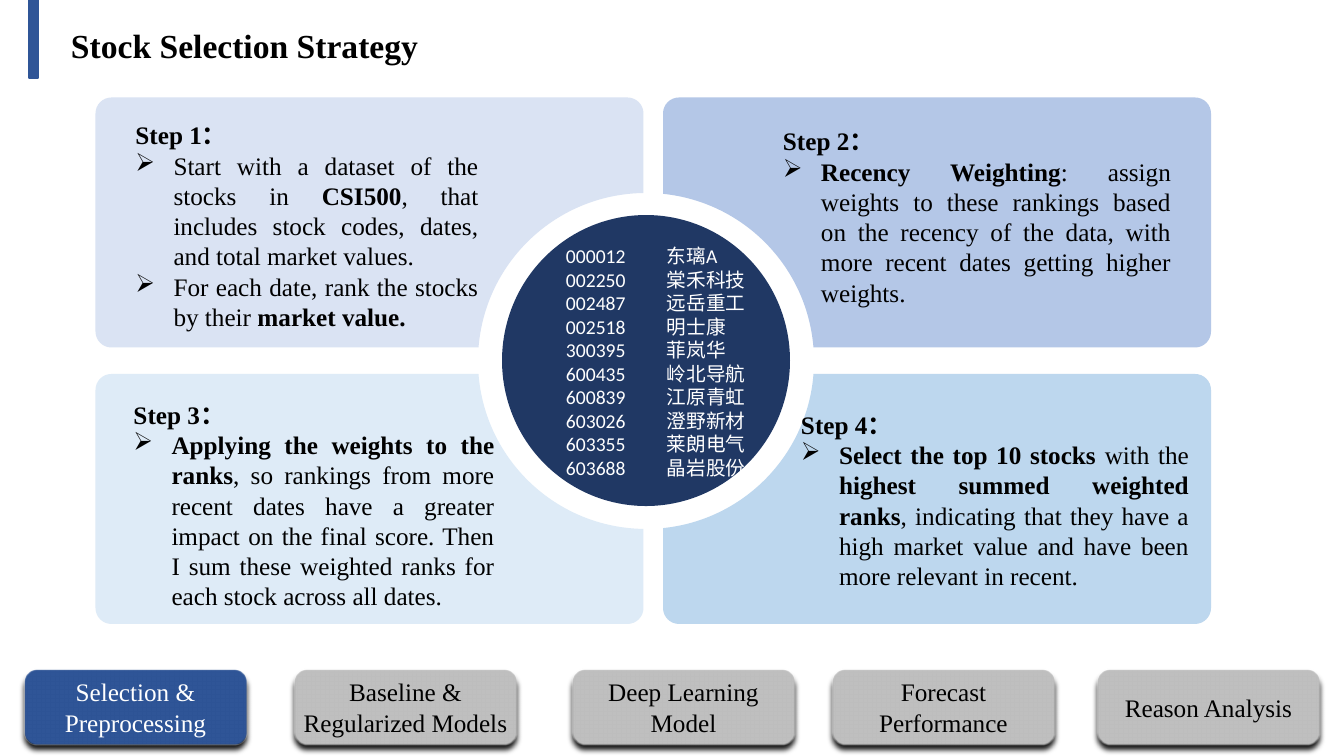
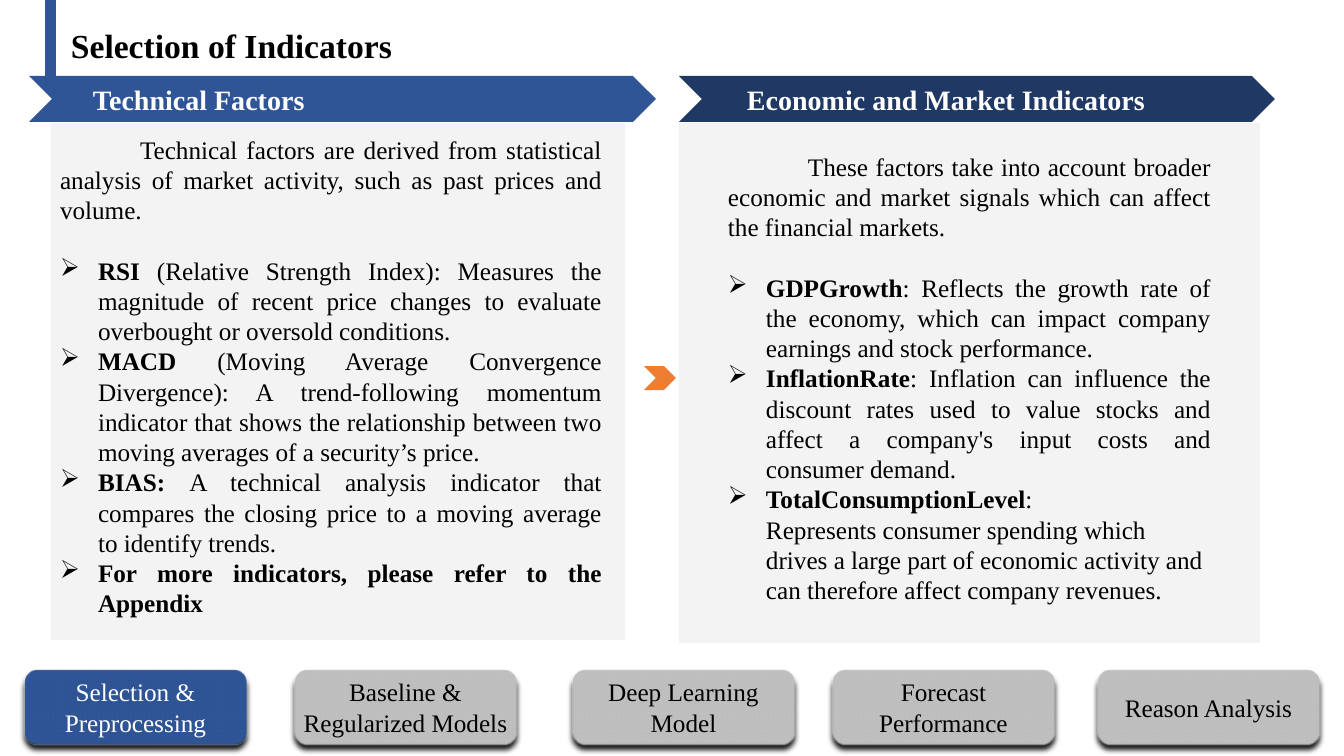
import math
from dataclasses import dataclass
from lxml import etree
from pptx import Presentation
from pptx.dml import color
from pptx.enum import shapes, text
from pptx.oxml import ns
from pptx import util as u

PX = 914400 / 100.8  # EMU in one px
LEFT, CENTER, JUSTIFY = text.PP_ALIGN.LEFT, text.PP_ALIGN.CENTER, text.PP_ALIGN.JUSTIFY
SHAPE = shapes.MSO_SHAPE


@dataclass(frozen=True)
class Theme:
    serif: str = "Times New Roman"
    sans: str = "Calibri"
    title: int = 24
    banner: int = 20
    body: int = 18
    small: int = 14
    black: str = "000000"
    white: str = "FFFFFF"
    blue: str = "2F5597"
    navy: str = "203864"
    orange: str = "ED7D31"
    grey: str = "BFBFBF"
    panel: str = "E7E6E6"
    steps: tuple = ("DAE3F3", "B4C7E7", "DEEBF7", "BDD7EE")


T = Theme()


def emu(n):
    return u.Emu(round(n * PX))


def rgb(value):
    return color.RGBColor.from_string(value)


def sub(parent, tag, **attrs):
    node = etree.SubElement(parent, ns.qn(tag))
    for key, value in attrs.items():
        node.set(key, str(value))
    return node


def add_text(tf, content, size=T.body, ink=T.black, font=T.serif, bold=False, align=LEFT,
             bullet=False, margin=0, indent=0, tab=None, line=None, after=0):
    """Add one paragraph; pieces between ** marks are bold."""
    p = tf.paragraphs[0]
    if p.runs:
        p = tf.add_paragraph()
    if bullet:
        margin, indent = 38, -38
    pPr = p._p.get_or_add_pPr()
    pPr.set("marL", str(emu(margin)))
    pPr.set("indent", str(emu(indent)))
    if bullet:
        # Wingdings draws this letter as an arrowhead
        sub(pPr, "a:buFont", typeface="Wingdings", pitchFamily=2, charset=2)
        sub(pPr, "a:buChar", char="Ø")
    else:
        sub(pPr, "a:buNone")
    if tab:
        sub(sub(pPr, "a:tabLst"), "a:tab", pos=emu(tab), algn="l")
    p.alignment = align
    p.space_before, p.space_after = u.Pt(0), u.Pt(after)
    if line:
        p.line_spacing = line
    for i, piece in enumerate(content.split("**")):
        if piece:
            r = p.add_run()
            r.text = piece
            r.font.name, r.font.size = font, u.Pt(size)
            r.font.bold = bold or i % 2 == 1
            r.font.color.rgb = rgb(ink)


def set_frame(tf, wrap=True, anchor=text.MSO_ANCHOR.TOP, side=10):
    tf.word_wrap = wrap
    tf.auto_size = text.MSO_AUTO_SIZE.NONE
    tf.vertical_anchor = anchor
    tf.margin_left = tf.margin_right = emu(side)
    tf.margin_top = tf.margin_bottom = emu(5)
    return tf


def add_box(s, x, y, w, h):
    return set_frame(s.shapes.add_textbox(*map(emu, (x, y, w, h))).text_frame)


def use_placeholder(s, idx, x, y, w, h):
    """Place a placeholder in front of what is already drawn."""
    sp = next(ph for ph in s.placeholders if ph.placeholder_format.idx == idx)
    sp.left, sp.top, sp.width, sp.height = map(emu, (x, y, w, h))
    sp.element.getparent().append(sp.element)
    return set_frame(sp.text_frame)


def paint(sp, fill, line=None):
    sp.shadow.inherit = False
    sp.fill.solid()
    sp.fill.fore_color.rgb = rgb(fill)
    if line:
        sp.line.color.rgb = rgb(line)
        sp.line.width = u.Pt(1)
    else:
        sp.line.fill.background()
    return sp


def add_shape(s, kind, x, y, w, h, fill, line=None):
    return paint(s.shapes.add_shape(kind, *map(emu, (x, y, w, h))), fill, line)


# Shared parts: title with accent bar, and the progress footer
def add_header(s, title, bar_x):
    add_shape(s, SHAPE.RECTANGLE, bar_x, 0, 9, 78, T.blue, T.blue)
    add_text(use_placeholder(s, 0, 61, 20, 676, 50), title, size=T.title, bold=True)


STAGES = ((24, ("Selection &", "Preprocessing")),
          (294, ("Baseline & Regularized Models",)),
          (572, ("Deep Learning Model",)),
          (832, ("Forecast Performance",)),
          (1097, ("Reason Analysis",)))


def add_footer(s, active=0):
    for i, (x, lines) in enumerate(STAGES):
        fill, ink = (T.blue, T.white) if i == active else (T.grey, T.black)
        sp = add_shape(s, SHAPE.ROUNDED_RECTANGLE, x, 669, 223, 76, fill, T.white)
        effects = sp._element.spPr.find(ns.qn("a:effectLst"))
        shadow = sub(effects, "a:outerShdw", blurRad=u.Pt(4), dist=u.Pt(4),
                     dir=5400000, algn="t", rotWithShape=0)
        sub(sub(shadow, "a:srgbClr", val=T.black), "a:alpha", val=93000)
        sub(effects, "a:softEdge", rad=u.Pt(1))
        tf = set_frame(sp.text_frame, anchor=text.MSO_ANCHOR.MIDDLE, side=2)
        for line in lines:
            add_text(tf, line, ink=ink, align=CENTER)


# Stock selection slide
HUB = (646, 361)
HUB_GAP = 168  # radius of the cut around the hub
STEP_W, STEP_H = 548, 250

# Placeholder, panel corner, text offset and size, heading, bullets
STEPS = (
    (1, (95.5, 97.5), (30, -13, 363, 254), "Step 1：",
     ("Start with a dataset of the stocks in **CSI500**, that includes stock codes, "
      "dates, and total market values.",
      "For each date, rank the stocks by their **market value.**")),
    (2, (663, 97.5), (110, -7, 408, 224), "Step 2：",
     ("**Recency Weighting**: assign weights to these rankings based on the recency of "
      "the data, with more recent dates getting higher weights.",)),
    (3, (95.5, 374), (28, -10, 381, 285), "Step 3：",
     ("**Applying the weights to the ranks**, so rankings from more recent dates have a "
      "greater impact on the final score. Then I sum these weighted ranks for each "
      "stock across all dates.",)),
    (4, (663, 374), (128, 0, 408, 224), "Step 4：",
     ("**Select the top 10 stocks **with the **highest summed weighted ranks**, "
      "indicating that they have a high market value and have been more relevant "
      "in recent.",)),
)

STOCKS = (("000012", "东璃A"), ("002250", "棠禾科技"), ("002487", "远岳重工"),
          ("002518", "明士康"), ("300395", "菲岚华"), ("600435", "岭北导航"),
          ("600839", "江原青虹"), ("603026", "澄野新材"), ("603355", "莱朗电气"),
          ("603688", "晶岩股份"))


def arc(cx, cy, radius, start, end):
    """Start, two control points and end of one Bézier arc."""
    k = 4 / 3 * math.tan((end - start) / 4)
    c0, s0, c1, s1 = math.cos(start), math.sin(start), math.cos(end), math.sin(end)
    units = ((c0, s0), (c0 - k * s0, s0 + k * c0), (c1 + k * s1, s1 - k * c1), (c1, s1))
    return [(cx + radius * a, cy + radius * b) for a, b in units]


def bend(sp):
    """Turn every three segments after an arc's start into one curve."""
    outline = next(sp._element.iter(ns.qn("a:path")))
    steps = [node for node in outline if node.tag != ns.qn("a:close")]
    for i in range(0, len(steps), 4):
        curve = etree.Element(ns.qn("a:cubicBezTo"))
        steps[i].addnext(curve)
        for node in steps[i + 1:i + 4]:
            curve.append(node[0])
            outline.remove(node)


def add_step_panel(s, x, y, fill):
    """Rounded panel whose corner nearest the hub is cut by a circle."""
    cx, cy = HUB
    sx = 1 if x + STEP_W / 2 > cx else -1
    sy = 1 if y + STEP_H / 2 > cy else -1
    # Distances from the hub, mirrored into one quadrant
    near_x, far_x = sorted((sx * (x - cx), sx * (x + STEP_W - cx)))
    near_y, far_y = sorted((sy * (y - cy), sy * (y + STEP_H - cy)))
    rad, quarter = 16, math.pi / 2
    points = (arc(0, 0, HUB_GAP, math.acos(near_x / HUB_GAP), math.asin(near_y / HUB_GAP))
              + arc(far_x - rad, near_y + rad, rad, -quarter, 0)
              + arc(far_x - rad, far_y - rad, rad, 0, quarter)
              + arc(near_x + rad, far_y - rad, rad, quarter, 2 * quarter))
    points = [(emu(cx + sx * px), emu(cy + sy * py)) for px, py in points]
    builder = s.shapes.build_freeform(*points[0], scale=1.0)
    builder.add_line_segments(points[1:], close=True)
    bend(paint(builder.convert_to_shape(), fill))


def add_hub(s, x, y, w, h):
    add_shape(s, SHAPE.OVAL, x, y, w, h, T.navy)
    tf = add_box(s, x + 54, y + 24, w - 35, h - 30)
    for code, name in STOCKS:
        add_text(tf, f"{code}\t{name}", size=T.small, ink=T.white, font=T.sans, tab=90)


def stock_slide(prs):
    s = prs.slides.add_slide(prs.slide_layouts.get_by_name("Comparison"))
    add_header(s, "Stock Selection Strategy", 29)
    for (_, corner, *_), fill in zip(STEPS, T.steps):
        add_step_panel(s, *corner, fill)
    add_hub(s, 502, 215, 288, 291)
    for idx, (x, y), (dx, dy, w, h), heading, bullets in STEPS:
        tf = use_placeholder(s, idx, x + dx, y + dy, w, h)
        add_text(tf, heading, bold=True, align=JUSTIFY, line=2.0)
        for item in bullets:
            add_text(tf, item, align=JUSTIFY, bullet=True)
    add_footer(s)


# Indicators slide
TECHNICAL = (
    "Technical factors are derived from statistical analysis of market activity, such as "
    "past prices and volume.",
    "**RSI **(Relative Strength Index): Measures the magnitude of recent price changes to "
    "evaluate overbought or oversold conditions.",
    "**MACD** (Moving Average Convergence Divergence): A trend-following momentum "
    "indicator that shows the relationship between two moving averages of a "
    "security’s price.",
    "**BIAS: **A technical analysis indicator that compares the closing price to a moving "
    "average to identify trends.",
    "**For more indicators, please refer to the Appendix**",
)
ECONOMIC = (
    "These factors take into account broader economic and market signals which can affect "
    "the financial markets.",
    "**GDPGrowth**: Reflects the growth rate of the economy, which can impact company "
    "earnings and stock performance.",
    "**InflationRate**: Inflation can influence the discount rates used to value stocks "
    "and affect a company's input costs and consumer demand.",
    "**TotalConsumptionLevel**:",
)
CONSUMPTION = ("Represents consumer spending which",
               "drives a large part of economic activity and",
               "can therefore affect company revenues.")


def add_column(s, idx, x, y, w, fill, label, label_dx, panel, body, content, closing=()):
    """Grey panel under a chevron banner; panel and body are relative to x, y."""
    dx, panel_w, panel_h = panel
    sp = add_shape(s, SHAPE.RECTANGLE, x + dx, y + 47, panel_w, panel_h, T.panel)
    sub(sp._element.spPr.find(ns.qn("a:solidFill"))[0], "a:alpha", val=45000)
    add_shape(s, SHAPE.CHEVRON, x, y, w, 46, fill)
    add_text(add_box(s, x + label_dx, y + 1, 530, 44), label,
             size=T.banner, ink=T.white, bold=True)
    body_x, body_y, body_w = body
    tf = use_placeholder(s, idx, x + body_x, y + body_y, body_w, 500)
    intro, *items = content
    add_text(tf, intro, align=JUSTIFY, indent=80, after=21.6)
    for item in items:
        add_text(tf, item, align=JUSTIFY, bullet=True)
    for line in closing:
        add_text(tf, line, margin=38)


def indicator_slide(prs):
    s = prs.slides.add_slide(prs.slide_layouts.get_by_name("Two Content"))
    add_header(s, "Selection of Indicators", 46)
    add_column(s, 1, 29, 76, 627, T.blue, "Technical Factors", 54,
               (22, 574, 517), (21, 53, 562), TECHNICAL)
    add_column(s, 2, 679, 76, 596, T.navy, "Economic and Market Indicators", 58,
               (0, 581, 520), (39, 70, 503), ECONOMIC, CONSUMPTION)
    add_shape(s, SHAPE.CHEVRON, 644, 366, 32, 24, T.orange)
    add_footer(s)


def main():
    prs = Presentation()
    prs.slide_width, prs.slide_height = emu(1344), emu(756)
    stock_slide(prs)
    indicator_slide(prs)
    prs.save("out.pptx")


if __name__ == "__main__":
    main()
